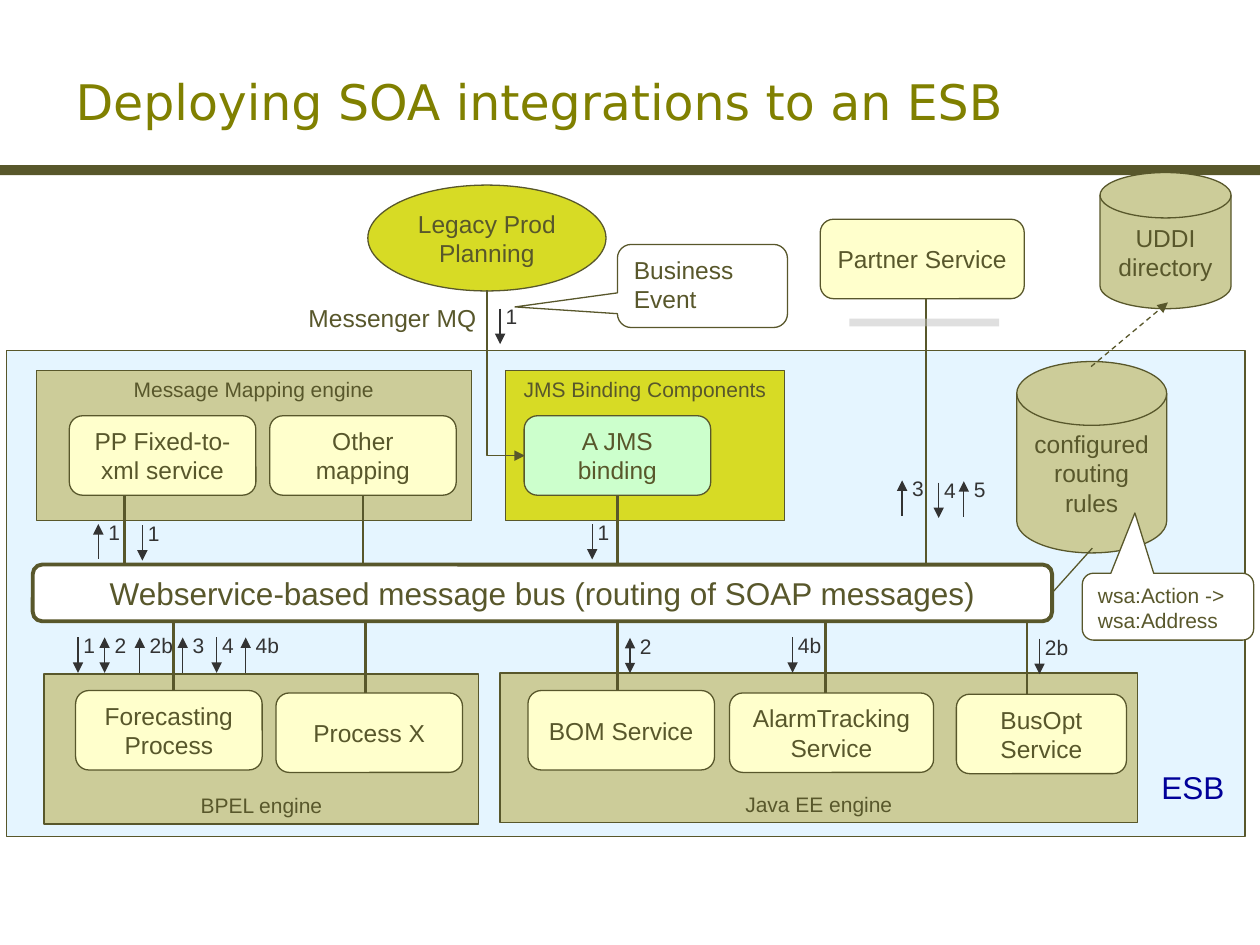
import pptx
import pptx.util
import pptx.oxml.ns
from lxml import etree
from pptx.dml.color import RGBColor
from pptx.enum.dml import MSO_LINE
from pptx.enum.shapes import MSO_CONNECTOR, MSO_SHAPE
from pptx.enum.text import MSO_ANCHOR, PP_ALIGN

Pt = pptx.util.Pt
qn = pptx.oxml.ns.qn

OLIVE = RGBColor(0x58, 0x57, 0x2B)
GOLD = RGBColor(0x80, 0x80, 0x00)
KHAKI = RGBColor(0xCC, 0xCC, 0x99)
LIME = RGBColor(0xD7, 0xDB, 0x25)
CREAM = RGBColor(0xFF, 0xFF, 0xCC)
MINT = RGBColor(0xCC, 0xFF, 0xCC)
SKY = RGBColor(0xCC, 0xEC, 0xFF)
WHITE = RGBColor(0xFF, 0xFF, 0xFF)
GREY = RGBColor(0xC0, 0xC0, 0xC0)
DARK = RGBColor(0x33, 0x33, 0x33)
NAVY = RGBColor(0x00, 0x00, 0x99)

RECT, ROUND = MSO_SHAPE.RECTANGLE, MSO_SHAPE.ROUNDED_RECTANGLE
DISK = MSO_SHAPE.FLOWCHART_MAGNETIC_DISK
CALL = MSO_SHAPE.ROUNDED_RECTANGULAR_CALLOUT
TOP, MID, LOW = MSO_ANCHOR.TOP, MSO_ANCHOR.MIDDLE, MSO_ANCHOR.BOTTOM

TITLE = "Deploying SOA integrations to an ESB"
BUS = "Webservice-based message bus (routing of SOAP messages)"

# text, left, top, width, fill, anchor
ENGINES = [
    ("BPEL engine", 25.2, 385.2, 248.4, KHAKI, LOW),
    ("Java EE engine", 285.8, 384.5, 364.3, KHAKI, LOW),
    ("Message Mapping engine", 20.9, 211.7, 248.4, KHAKI, TOP),
    ("JMS Binding Components", 288.7, 211.7, 159.8, LIME, TOP),
]
ENGINE_H = 85.7

# text, left, top, width, fill
SERVICES = [
    ("Forecasting Process", 43.2, 394.6, 106.6, CREAM),
    ("Process X", 157.7, 396, 106.6, CREAM),
    ("BOM Service", 301.7, 394.6, 106.6, CREAM),
    ("AlarmTracking Service", 416.9, 396, 116.6, CREAM),
    ("BusOpt Service", 546.5, 396.7, 97.2, CREAM),
    ("PP Fixed-to-xml service", 39.6, 237.6, 106.6, CREAM),
    ("Other mapping", 154.1, 237.6, 106.6, CREAM),
    ("A JMS binding", 299.5, 237.6, 106.6, MINT),
    ("Partner Service", 468.7, 125.3, 116.6, CREAM),
]
SERVICE_H = 45.4

# text, left, top, width, height
STORES = [
    ("configured routing rules", 581, 206.6, 85.7, 109.4),
    ("UDDI directory", 628.6, 98.6, 74.9, 77.8),
]

# text, left, top, width, height, size, pointer
NOTES = [
    ("Business Event", 352.8, 139.7, 97.2, 47.5, 14, (-1.102, 0.252)),
    ("wsa:Action -> wsa:Address", 618.5, 327.6, 97.9, 38.2, 12, (-0.193, -1.402)),
]

# service, x of its link to the bus
LINKS = [
    ("PP Fixed-to-xml service", 71.3), ("Other mapping", 207.4),
    ("A JMS binding", 352.8), ("Partner Service", 529.2),
    ("Forecasting Process", 99.2), ("Process X", 208.8),
    ("BOM Service", 352.8), ("AlarmTracking Service", 471.6),
    ("BusOpt Service", 586.8),
]
CENTRED = ("Other mapping", "A JMS binding")

# label, arrow x, arrow top, direction
STEPS = [
    ("1", 285.8, 176.4, "down"),
    ("1", 56.2, 299.5, "up"), ("1", 81.4, 300.2, "down"), ("1", 338.4, 299.5, "down"),
    ("3", 515.5, 274.5, "up"), ("4", 536.4, 275.8, "down"), ("5", 550.8, 275, "up"),
    ("1", 44.6, 364.3, "down"), ("2", 59.8, 364.3, "both"), ("2b", 79.9, 364.3, "up"),
    ("3", 104.4, 364.3, "up"), ("4", 123.8, 364.3, "down"), ("4b", 140.4, 364.3, "up"),
    ("2", 360, 364.5, "both"), ("4b", 452.9, 364.3, "down"), ("2b", 594, 365, "down"),
]
STEP_LEN = 20.2

deck = pptx.Presentation()
deck.slide_width, deck.slide_height = Pt(720), Pt(540)
slide = deck.slides.add_slide(deck.slide_layouts[5])
shapes = slide.shapes


def write(shape, text, size, color=OLIVE, align=PP_ALIGN.CENTER,
          anchor=MID, wrap=True, font="Arial"):
    frame = shape.text_frame
    frame.word_wrap, frame.vertical_anchor = wrap, anchor
    para = frame.paragraphs[0]
    para.alignment = align
    run = para.add_run()
    run.text = text
    run.font.name, run.font.size = font, Pt(size)
    run.font.color.rgb = color


def draw(kind, left, top, width, height, fill, line=0.75):
    shape = shapes.add_shape(kind, Pt(left), Pt(top), Pt(width), Pt(height))
    shape.shadow.inherit = False
    shape.fill.solid()
    shape.fill.fore_color.rgb = fill
    if line:
        shape.line.color.rgb, shape.line.width = OLIVE, Pt(line)
    else:
        shape.line.fill.background()
    return shape


def label(home, text, left, top, width, height, size, color, wrap=False):
    box = home.add_textbox(Pt(left), Pt(top), Pt(width), Pt(height))
    write(box, text, size, color, PP_ALIGN.LEFT, TOP, wrap)


def fade(part):
    """Make the solid colour inside part half transparent."""
    color = part.find(".//" + qn("a:srgbClr"))
    etree.SubElement(color, qn("a:alpha")).set("val", "50000")


def join(home, x1, y1, x2, y2, color=OLIVE, width=0.75, ends=(), kind=MSO_CONNECTOR.STRAIGHT):
    """Draw a connector; ends holds headEnd and tailEnd where arrowheads go."""
    line = home.add_connector(kind, Pt(x1), Pt(y1), Pt(x2), Pt(y2))
    line.line.color.rgb, line.line.width = color, Pt(width)
    props = line._element.spPr
    for end in ends:
        etree.SubElement(props.find(qn("a:ln")), qn("a:" + end)).set("type", "triangle")
    etree.SubElement(props, qn("a:effectLst"))
    return line


draw(RECT, 0, 94.3, 720, 5.8, OLIVE, 0)
zone = draw(RECT, 3.6, 200.2, 707.8, 277.9, SKY)
fade(zone._element.spPr.find(qn("a:solidFill")))

title = shapes.title
title.left, title.top, title.width, title.height = Pt(36), Pt(24.5), Pt(653.8), Pt(66.2)
write(title, TITLE, 28, GOLD, PP_ALIGN.LEFT, font="DejaVu Sans")

bus_top, bus_h = 322.6, 32.4
bus = draw(ROUND, 18.7, bus_top, 582.5, bus_h, WHITE, 2.25)
write(bus, BUS, 18)

for text, *place in STORES:
    write(draw(DISK, *place, KHAKI), text, 14)
lookup = join(shapes, 623.5, 209.5, 667.4, 172.8, ends=["tailEnd"])
lookup.line.dash_style = MSO_LINE.DASH
rules = join(shapes, 601.2, 338.8, 624.2, 313.2)
rules.begin_connect(bus, 3)

for text, left, top, width, fill, anchor in ENGINES:
    write(draw(RECT, left, top, width, ENGINE_H, fill), text, 12, anchor=anchor)

boxes = {}
for text, left, top, width, fill in SERVICES:
    boxes[text] = draw(ROUND, left, top, width, SERVICE_H, fill)
    write(boxes[text], text, 14)

for name, x in LINKS:
    box = boxes[name]
    if box.top.pt < bus_top:
        start, stop = box.top.pt + SERVICE_H, bus_top
    else:
        start, stop = box.top.pt, bus_top + bus_h
    link = join(shapes, x, start, x, stop, width=1.5)
    if name in CENTRED:
        link.begin_connect(box, 2)
        link.end_x = link.begin_x

write(draw(MSO_SHAPE.OVAL, 210.2, 105.8, 136.1, 60.5, LIME), "Legacy Prod Planning", 14)
# The elbow lies flat at 242-336 across, then turns to run down and right.
elbow = join(shapes, 241.9, 202.4, 336.3, 224, ends=["tailEnd"], kind=MSO_CONNECTOR.ELBOW)
elbow._element.spPr.find(qn("a:prstGeom")).set("prst", "bentConnector2")
turn = elbow._element.spPr.find(qn("a:xfrm"))
turn.set("rot", "16200000")
turn.set("flipH", "1")
label(shapes, "Messenger MQ", 169.2, 169.9, 115.2, 24.5, 14, OLIVE)

HEADS = {"up": ["headEnd"], "down": ["tailEnd"], "both": ["headEnd", "tailEnd"]}
for text, x, y, way in STEPS:
    group = shapes.add_group_shape().shapes
    join(group, x, y, x, y + STEP_LEN, DARK, ends=HEADS[way])
    shift = 4 if way == "down" else 1.4
    label(group, text, x - shift, y - 6.2, 14.4 + 6.6 * len(text), 21.6, 12, DARK)

wall = join(shapes, 571, 184.3, 485.3, 184.3, GREY, 4.5)
fade(wall._element.spPr.find(qn("a:ln")))
label(shapes, "ESB", 656.6, 435.6, 50.4, 28.8, 18, NAVY, True)

for text, left, top, width, height, size, point in NOTES:
    note = draw(CALL, left, top, width, height, WHITE)
    note.adjustments[0], note.adjustments[1] = point
    write(note, text, size, align=PP_ALIGN.LEFT, anchor=TOP)

deck.save("out.pptx")
